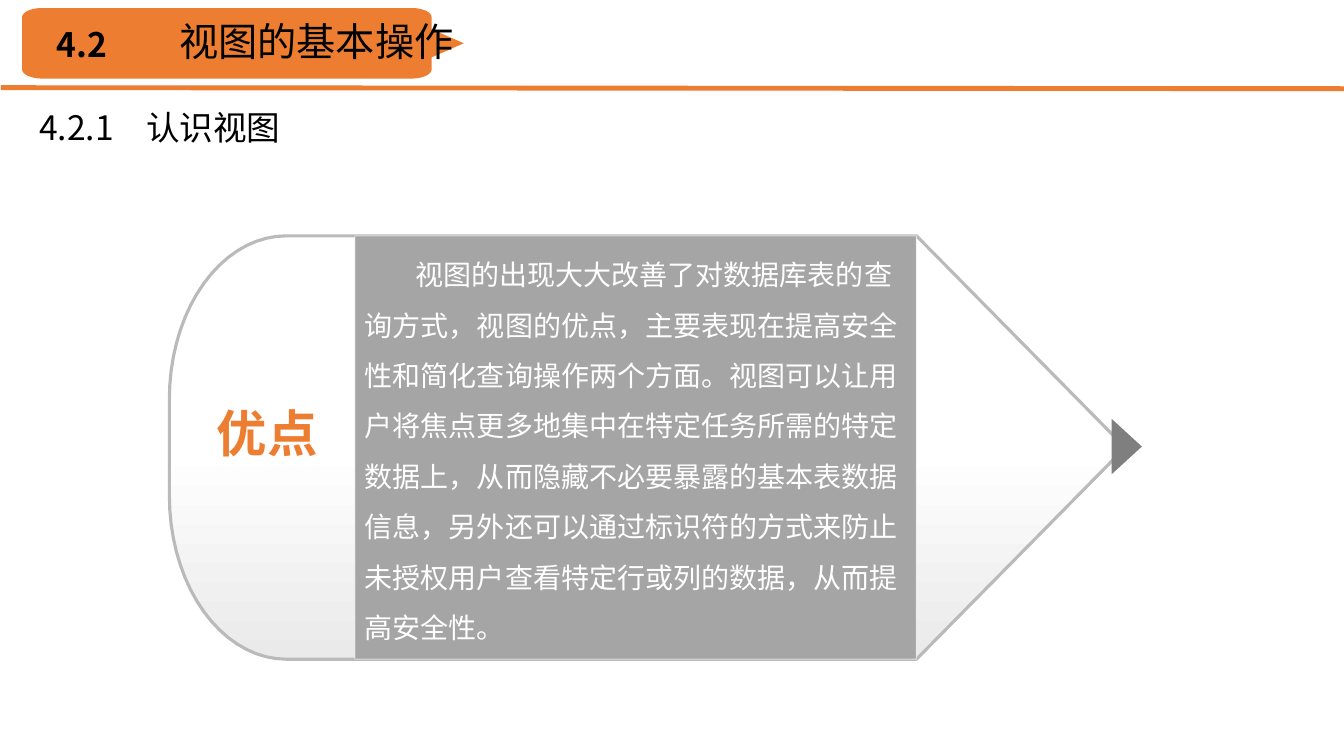
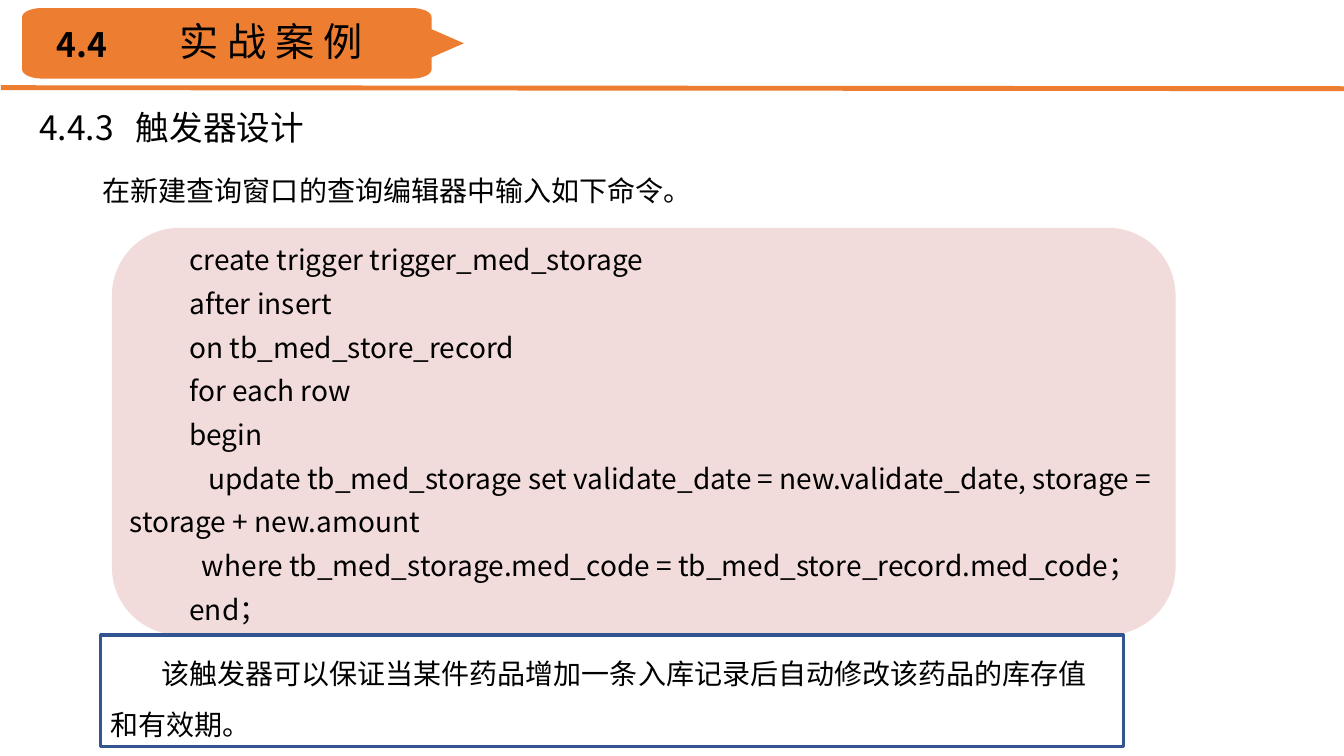
from math import cos, radians, sin

from lxml import etree
from pptx import Presentation
from pptx.dml.color import RGBColor
from pptx.enum.shapes import MSO_CONNECTOR, MSO_SHAPE
from pptx.enum.text import MSO_ANCHOR, PP_ALIGN
from pptx.oxml.ns import qn
from pptx.util import Emu, Pt

RECT, ROUNDED = MSO_SHAPE.RECTANGLE, MSO_SHAPE.ROUNDED_RECTANGLE
TRIANGLE = MSO_SHAPE.ISOSCELES_TRIANGLE
STRAIGHT = MSO_CONNECTOR.STRAIGHT
TOP, CENTER = MSO_ANCHOR.TOP, PP_ALIGN.CENTER

PX = 9144  # EMU per px, 100 px to the inch
FONT = "Noto Sans CJK SC"
COLORS = {
    "accent": "ED7D31", "ink": "000000", "white": "FFFFFF",
    "shade": "EAEAEA", "outline": "BABABA", "grey": "A5A5A5",
    "arrow": "7F7F7F", "code": "F2DCDB", "note": "325491",
}

# Content
VIEWS = {
    "number": "4.2", "title": "视图的基本操作",
    "section": "4.2.1\t认识视图", "section_tab": 106,
    "label": "优点",
    "body": "视图的出现大大改善了对数据库表的查询方式，视图的优点，主要表现在提高安全性和简化查询操作两个方面。"
            "视图可以让用户将焦点更多地集中在特定任务所需的特定数据上，从而隐藏不必要暴露的基本表数据信息，"
            "另外还可以通过标识符的方式来防止未授权用户查看特定行或列的数据，从而提高安全性。",
}
TRIGGER = {
    "number": "4.4", "title": "实 战 案 例",
    "section": "4.4.3\t触发器设计", "section_tab": 96,
    "intro": "在新建查询窗口的查询编辑器中输入如下命令。",
    "code": [
        "create trigger trigger_med_storage",
        "after insert",
        "on tb_med_store_record",
        "for each row",
        "begin",
        "   update tb_med_storage set validate_date = new.validate_date, storage = storage + new.amount",
        "  where tb_med_storage.med_code = tb_med_store_record.med_code；",
        "end；",
    ],
    "note": "该触发器可以保证当某件药品增加一条入库记录后自动修改该药品的库存值和有效期。",
}


def px(*lengths):
    return [Emu(round(length * PX)) for length in lengths]


def rgb(name):
    return RGBColor.from_string(COLORS[name])


def paint(shape, fill=None, line=None, width=0):
    shape.shadow.inherit = False
    if fill:
        shape.fill.solid()
        shape.fill.fore_color.rgb = rgb(fill)
    else:
        shape.fill.background()
    if line:
        shape.line.color.rgb = rgb(line)
        shape.line.width = Pt(width)
    else:
        shape.line.fill.background()


def add_block(slide, kind, box, **style):
    block = slide.shapes.add_shape(kind, *px(*box))
    paint(block, **style)
    return block


def write(shape, lines, size, color="ink", bold=False, spacing=None,
          indent=0, align=PP_ALIGN.LEFT, tab=None):
    frame = shape.text_frame
    frame.word_wrap = True
    frame.vertical_anchor = TOP
    frame.text = "\n".join(lines)
    for paragraph in frame.paragraphs:
        paragraph.alignment = align
        if spacing:
            paragraph.line_spacing = spacing
        properties = paragraph._p.get_or_add_pPr()
        if indent:
            properties.set("marL", "0")
            properties.set("indent", str(indent * PX))
        if tab:
            stops = etree.SubElement(properties, qn("a:tabLst"))
            etree.SubElement(stops, qn("a:tab"), pos=str(tab * PX), algn="l")
        for run in paragraph.runs:
            run.font.size = Pt(size)
            run.font.bold = bold
            run.font.color.rgb = rgb(color)
            run.font.name = FONT
            etree.SubElement(run.font._element, qn("a:ea"), typeface=FONT)


def add_text(slide, box, lines, size, **style):
    write(slide.shapes.add_textbox(*px(*box)), lines, size, **style)


def corner(cx, cy, rx, ry, start):
    """Points of a clockwise quarter ellipse from the start angle."""
    angles = [radians(start + step * 5) for step in range(19)]
    return [(cx + rx * cos(a), cy + ry * sin(a)) for a in angles]


def add_outline(slide, points):
    (x, y), *others = [(round(x * PX), round(y * PX)) for x, y in points]
    builder = slide.shapes.build_freeform(x, y)
    builder.add_line_segments(others, close=True)
    return builder.convert_to_shape()


def add_header(slide, content):
    # Rule under the header
    rule = slide.shapes.add_connector(STRAIGHT, *px(1, 87, 1336, 88))
    rule.line.color.rgb = rgb("accent")
    rule.line.width = Pt(3.5)
    etree.SubElement(rule._element.spPr, qn("a:effectLst"))
    # Badge with a pointer on its right side
    badge = add_outline(slide, [
        *corner(42, 17, 20, 9, 180), *corner(408, 17, 20, 9, 270),
        (428, 29), (460, 43), (428, 57),
        *corner(408, 69, 20, 9, 0), *corner(42, 69, 20, 9, 90)])
    paint(badge, fill="accent")
    # Titles
    add_text(slide, (46, 19, 95, 50), [content["number"]], 24, bold=True)
    add_text(slide, (168, 12, 492, 57), [content["title"]], 28)
    add_text(slide, (29, 101, 492, 50), [content["section"]], 24,
             tab=content["section_tab"])


def build_views(slide, content):
    add_header(slide, content)
    # Arrow-shaped panel with its tip
    panel = add_outline(slide, [
        *corner(284, 396, 116, 162, 180), (909, 234), (1116, 444), (909, 654),
        *corner(284, 492, 116, 162, 90)])
    paint(panel, line="outline", width=2.25)
    panel.fill.gradient()
    panel.fill.gradient_angle = 270
    fades = zip(panel.fill.gradient_stops, [(0.5, "white"), (1, "shade")])
    for stop, (position, color) in fades:
        stop.position = position
        stop.color.rgb = rgb(color)
    tip = add_block(slide, TRIANGLE, (1090, 428, 55, 30), fill="arrow")
    tip.rotation = 90
    # Body and label
    body = add_block(slide, RECT, (352, 234, 557, 420), fill="grey",
                     line="white", width=0.75)
    line_color = body.line._ln.find(".//" + qn("a:srgbClr"))
    etree.SubElement(line_color, qn("a:alpha"), val="57000")
    add_text(slide, (352, 234, 557, 414), [content["body"]], 20,
             color="white", spacing=1.5, indent=50)
    add_text(slide, (177, 382, 176, 83), [content["label"]], 36,
             color="accent", bold=True, spacing=1.2, align=CENTER)


def build_trigger(slide, content):
    add_header(slide, content)
    add_text(slide, (42, 151, 1249, 60), [content["intro"]], 20,
             spacing=1.5, indent=50)
    # Code panel
    add_block(slide, ROUNDED, (111, 226, 1055, 404), fill="code")
    add_text(slide, (119, 226, 1097, 404), content["code"], 20,
             spacing=1.3, indent=59)
    # Closing note
    note = add_block(slide, RECT, (100, 630, 1014, 111), line="note", width=2.25)
    write(note, [content["note"]], 20, spacing=1.5, indent=50)


def main():
    deck = Presentation()
    deck.slide_width, deck.slide_height = px(1333, 750)
    blank = deck.slide_layouts[6]
    for build, content in ((build_views, VIEWS), (build_trigger, TRIGGER)):
        build(deck.slides.add_slide(blank), content)
    deck.save("out.pptx")


if __name__ == "__main__":
    main()
